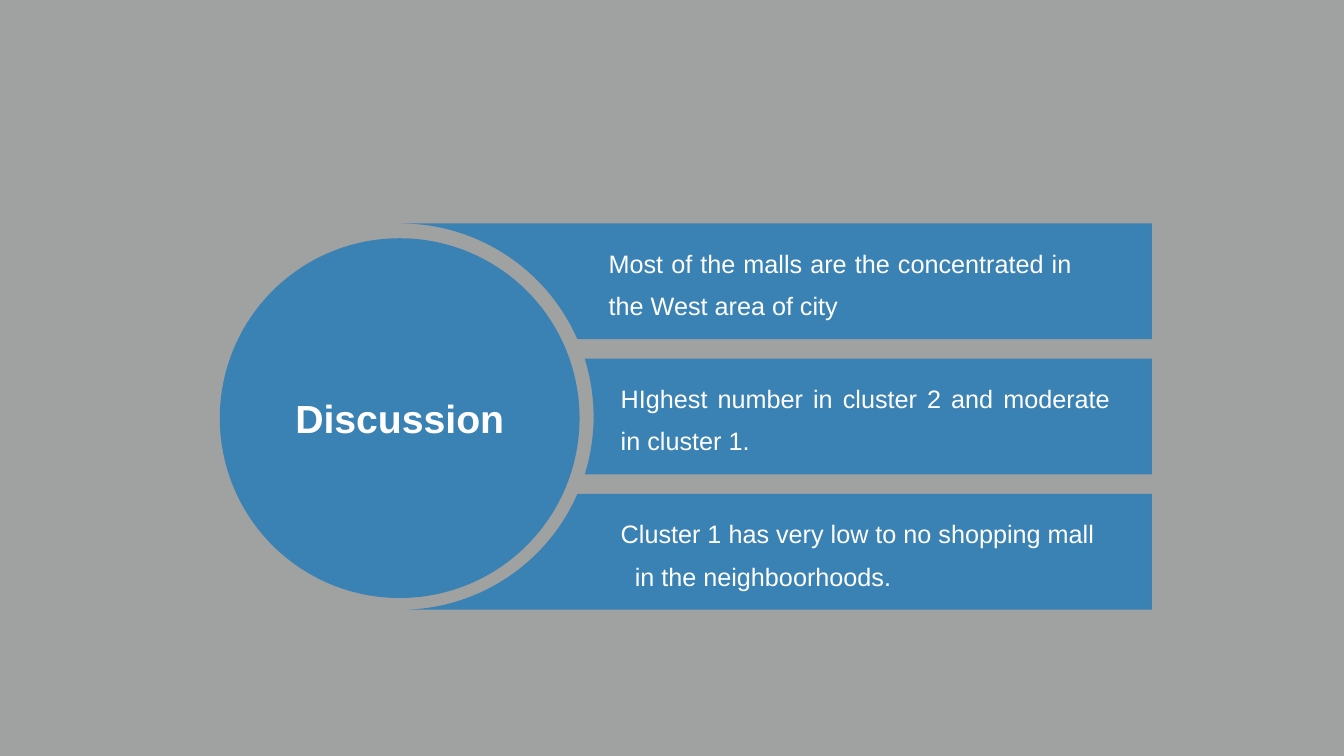
import math

from lxml import etree
from pptx import Presentation
from pptx.dml.color import RGBColor
from pptx.enum import shapes, text
from pptx.oxml.ns import qn
from pptx.util import Pt


def paint(shape, color, opacity):
    shape.shadow.inherit = False
    shape.line.fill.background()
    shape.fill.solid()
    shape.fill.fore_color.rgb = RGBColor.from_string(color)
    tint = shape.fill._xPr.find(qn("a:solidFill"))[0]
    etree.SubElement(tint, qn("a:alpha")).set("val", str(opacity * 1000))


def write(box, words, size=18, bold=False, align=text.PP_ALIGN.JUSTIFY,
          spacing=1.4, anchor=text.MSO_ANCHOR.TOP, right=7.2, hanging=0):
    frame = box.text_frame
    frame.word_wrap = True
    frame.vertical_anchor = anchor
    frame.margin_right = Pt(right)
    para = frame.paragraphs[0]
    para.alignment = align
    para.line_spacing = spacing
    if hanging:
        properties = para._p.get_or_add_pPr()
        properties.set("marL", str(Pt(hanging)))
        properties.set("indent", str(-Pt(hanging)))
    span = para.add_run()
    span.text = words
    span.font.name = "Arial"
    span.font.size = Pt(size)
    span.font.bold = bold
    span.font.color.rgb = RGBColor.from_string("FFFFFF")


deck = Presentation()
deck.slide_width, deck.slide_height = Pt(960), Pt(540)
page = deck.slides.add_slide(deck.slide_layouts[6])
page.background.fill.solid()
page.background.fill.fore_color.rgb = RGBColor.from_string("434343")

veil = page.shapes.add_shape(
    shapes.MSO_SHAPE.RECTANGLE, 0, 0, deck.slide_width, deck.slide_height)
paint(veil, "FEFFFF", 50)

circle = page.shapes.add_shape(
    shapes.MSO_SHAPE.OVAL, Pt(157), Pt(170.2), Pt(257), Pt(257))
paint(circle, "0070C0", 63)
write(circle, "Discussion", size=28, bold=True, align=text.PP_ALIGN.CENTER,
      spacing=1, anchor=text.MSO_ANCHOR.MIDDLE)

center_x, center_y, radius = 286, 297.6, 138
bar_top, bar_height, bar_right, pitch = 159.6, 82.7, 822.8, 96.6
arc_steps = 40

findings = [
    ("Most of the malls are the concentrated in the West area of city",
     427.7, {"right": 25.8}),
    ("HIghest number in cluster 2 and moderate in cluster 1.", 436.3, {}),
    ("Cluster 1 has very low to no shopping mall in the neighboorhoods.",
     436.3, {"align": text.PP_ALIGN.LEFT, "hanging": 10}),
]

for row in range(len(findings)):
    top = bar_top + row * pitch
    bottom = top + bar_height
    start, end = [math.asin(max(-1, min(1, (y - center_y) / radius)))
                  for y in (bottom, top)]
    angles = [start + (end - start) * step / arc_steps
              for step in range(arc_steps + 1)]
    arc = [(Pt(center_x + radius * math.cos(angle)),
            Pt(center_y + radius * math.sin(angle))) for angle in angles]
    outline = page.shapes.build_freeform(Pt(bar_right), Pt(top))
    outline.add_line_segments([(Pt(bar_right), Pt(bottom))] + arc, close=True)
    paint(outline.convert_to_shape(), "0070C0", 63)

for row, (words, left, layout) in enumerate(findings):
    box = page.shapes.add_textbox(
        Pt(left), Pt(165 + row * pitch), Pt(363.6), Pt(68.4))
    write(box, words, **layout)

deck.save("out.pptx")
